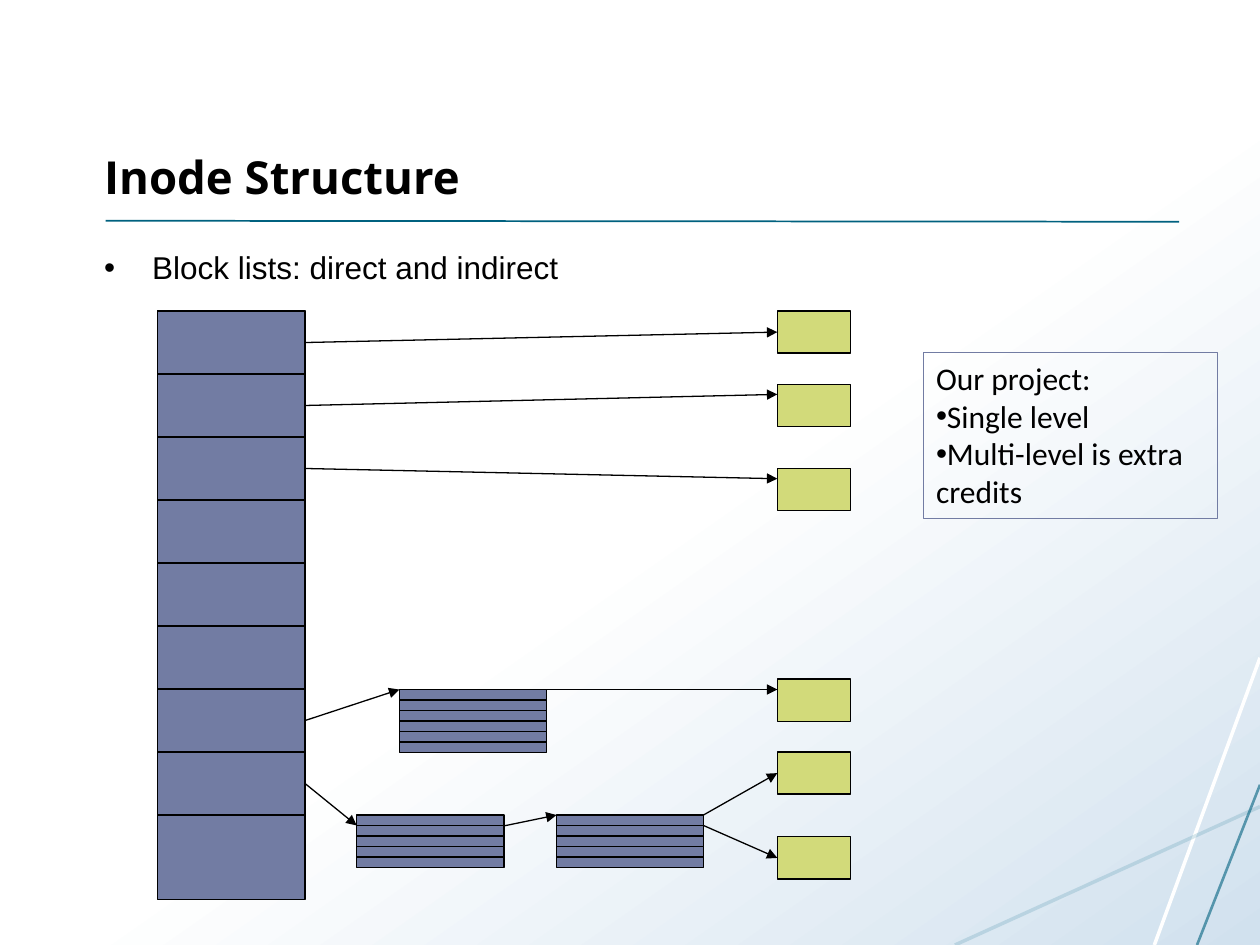
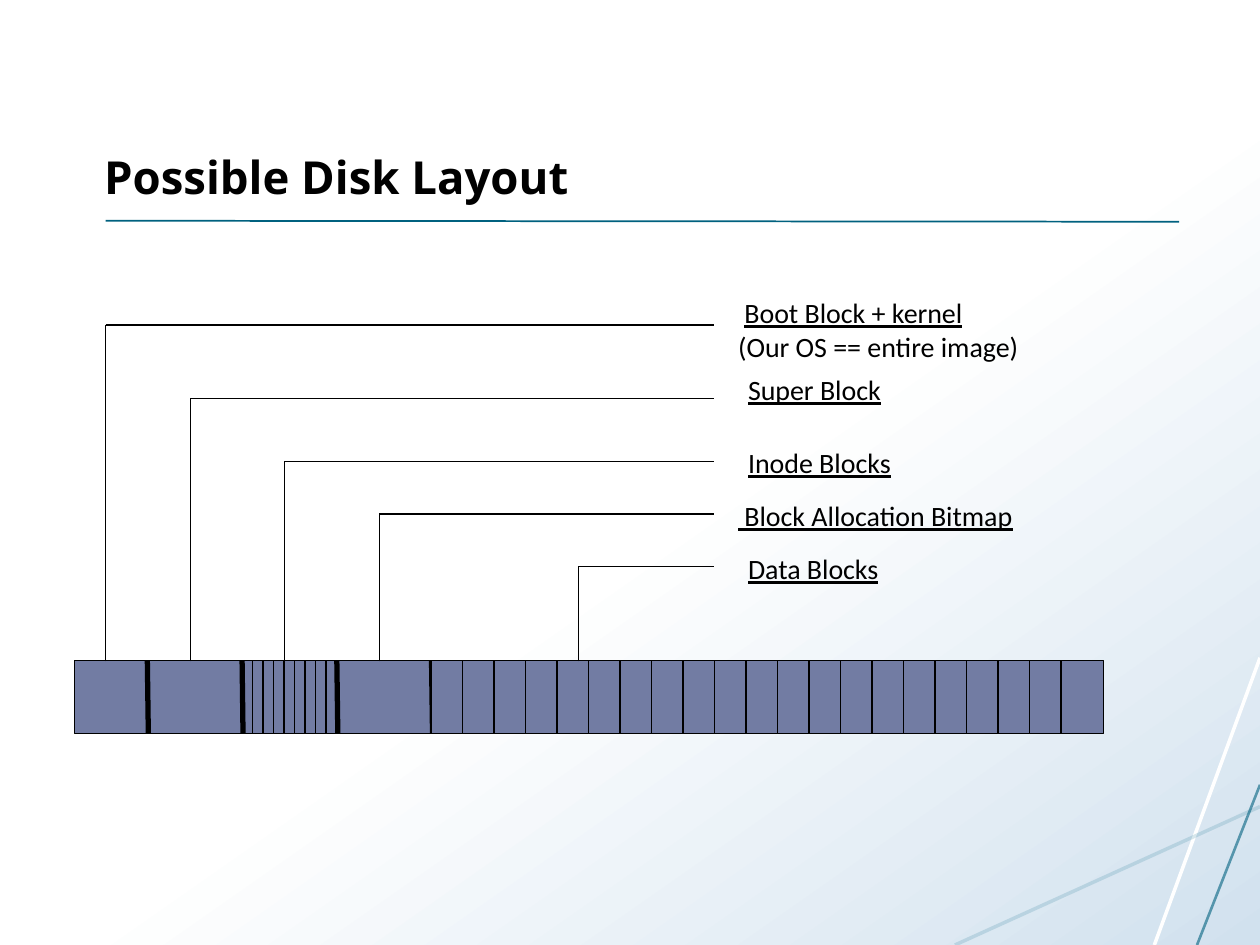
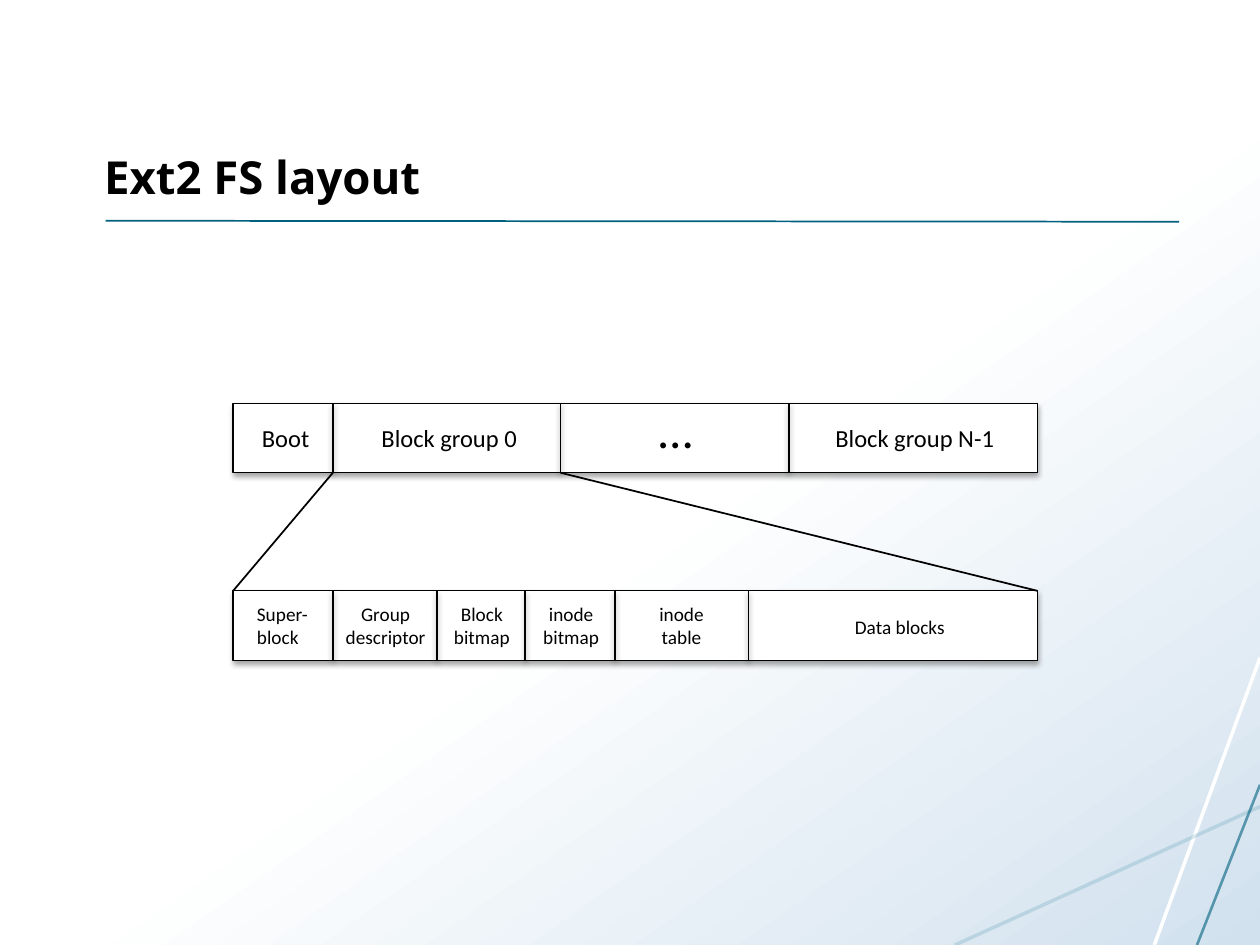
from dataclasses import dataclass

from lxml.etree import SubElement
from pptx import Presentation
from pptx.dml.color import RGBColor as Rgb
from pptx.enum.shapes import MSO_CONNECTOR as Link, MSO_SHAPE as Preset
from pptx.enum.text import MSO_ANCHOR as Anchor, PP_ALIGN as Align
from pptx.oxml.ns import qn
from pptx.util import Cm, Pt


@dataclass(frozen=True)
class Theme:
    ink: Rgb = Rgb(0, 0, 0)
    paper: Rgb = Rgb(255, 255, 255)
    haze: Rgb = Rgb.from_string("D1E1EE")
    teal: Rgb = Rgb.from_string("00617F")
    sea: Rgb = Rgb.from_string("15718F")
    slate: Rgb = Rgb.from_string("727CA3")
    lime: Rgb = Rgb.from_string("D2DA7A")
    title_font: str = "Open Sans"
    body_font: str = "Arial"
    label_font: str = "Calibri"
    title_size: int = 26
    body_size: int = 18
    label_size: int = 16
    group_size: int = 14
    field_size: int = 11
    dots_size: int = 28
    thin: float = 0.75


theme = Theme()


def write(slide, text, x, y, w, h, font=theme.label_font, size=theme.body_size,
          bold=False, align=Align.LEFT, anchor=Anchor.TOP, wrap=True,
          fill=None, outline=None, hang=0):
    """Place text, boxed if fill or outline is given; _marks_ underline, • starts a bullet."""
    place = Cm(x), Cm(y), Cm(w), Cm(h)
    if fill is None and outline is None:
        box = slide.shapes.add_textbox(*place)
    else:
        box = slide.shapes.add_shape(Preset.RECTANGLE, *place)
        box.shadow.inherit = False
        box.line.color.rgb = outline
        box.line.width = Pt(theme.thin)
        if fill is None:
            box.fill.background()
        else:
            box.fill.solid()
            box.fill.fore_color.rgb = fill
    frame = box.text_frame
    frame.word_wrap = wrap
    frame.vertical_anchor = anchor
    for number, line in enumerate(text.split("\n") if text else []):
        paragraph = frame.add_paragraph() if number else frame.paragraphs[0]
        paragraph.alignment = align
        if line.startswith("•"):
            line = line[1:]
            props = paragraph._p.get_or_add_pPr()
            props.set("marL", str(Cm(hang)))
            props.set("indent", str(-Cm(hang)))
            SubElement(props, qn("a:buFont")).set("typeface", "Arial")
            SubElement(props, qn("a:buChar")).set("char", "•")
        for part, words in enumerate(line.split("_")):
            if words:
                run = paragraph.add_run()
                run.text = words
                run.font.name = font
                run.font.size = Pt(size)
                run.font.bold = bold
                run.font.underline = part % 2 == 1
                run.font.color.rgb = theme.ink
    return box


def rule(slide, x1, y1, x2, y2, color=theme.ink, width=theme.thin,
         opacity=100, arrow=False, source=None, target=None):
    """Draw a straight line; source and target join it to a right and a left side."""
    line = slide.shapes.add_connector(Link.STRAIGHT, Cm(x1), Cm(y1), Cm(x2), Cm(y2))
    line.line.color.rgb = color
    line.line.width = Pt(width)
    stroke = line.line._get_or_add_ln()
    if opacity < 100:
        SubElement(stroke.find(".//" + qn("a:srgbClr")), qn("a:alpha")).set(
            "val", str(opacity * 1000))
    if arrow:
        SubElement(stroke, qn("a:tailEnd")).set("type", "triangle")
    SubElement(line._element.spPr, qn("a:effectLst"))
    if source is not None:
        line.begin_connect(source, 3)
    if target is not None:
        line.end_connect(target, 1)
    return line


deck = Presentation()
deck.slide_width, deck.slide_height = Cm(25.4), Cm(19.05)

# Shared background
backdrop = deck.slide_master.background.fill
backdrop.gradient()
backdrop.gradient_angle = 305
for stop, (position, color) in zip(backdrop.gradient_stops,
                                   [(0.54, theme.paper), (1, theme.haze)]):
    stop.position = position
    stop.color.rgb = color

# Slides with corner strokes, title and title rule
pages = []
for heading in ["Inode Structure", "Possible Disk Layout", "Ext2 FS layout"]:
    page = deck.slides.add_slide(deck.slide_layouts[6])
    rule(page, 25.4, 13.26, 23.27, 19.05, theme.paper, 2)
    rule(page, 25.4, 16.26, 19.25, 19.05, theme.sea, 2, opacity=16)
    rule(page, 25.4, 15.82, 24.13, 19.05, theme.teal, 1.5, opacity=60)
    rule(page, 2.13, 4.45, 23.77, 4.47, theme.teal, 1)
    write(page, heading, 1.85, 0.84, 21.9, 3.38, font=theme.title_font,
          size=theme.title_size, bold=True, anchor=Anchor.BOTTOM)
    pages.append(page)
inode_page, disk_page, ext2_page = pages

# Inode: block list
write(inode_page, "•Block lists: direct and indirect", 1.85, 4.88, 21.92, 12.14,
      font=theme.body_font, hang=0.97)
slate_box = dict(fill=theme.slate, outline=theme.ink)
column_w, slot_h = 2.97, 1.27
write(inode_page, "", 3.18, 6.27, column_w, 11.86, **slate_box)
slots = [write(inode_page, "", 3.18, 6.27 + n * slot_h, column_w, slot_h, **slate_box)
         for n in range(8)]

# Inode: data blocks and index blocks
data_blocks = [write(inode_page, "", 15.67, top, 1.48, 0.85,
                     fill=theme.lime, outline=theme.ink)
               for top in [6.27, 7.75, 9.45, 13.69, 15.16, 16.87]]
entry_h = slot_h / 6
for left, top, entries in [(8.05, 13.9, 6), (7.19, 16.43, 5), (11.22, 16.43, 5)]:
    for n in range(entries):
        write(inode_page, "", left, top + n * entry_h, column_w, entry_h, **slate_box)

# Inode: pointers
for x1, y1, x2, y2, source, target in [
    (6.15, 6.91, 15.67, 6.69, slots[0], data_blocks[0]),
    (6.15, 8.18, 15.67, 7.95, slots[1], None),
    (6.15, 9.45, 15.67, 9.65, slots[2], None),
    (6.15, 14.53, 8.05, 13.9, slots[6], None),
    (11.01, 13.9, 15.67, 13.9, None, None),
    (6.15, 15.8, 7.19, 16.64, slots[7], None),
    (10.16, 16.65, 11.22, 16.43, None, None),
    (14.18, 16.43, 15.67, 15.58, None, data_blocks[4]),
    (14.18, 16.64, 15.67, 17.29, None, data_blocks[5]),
]:
    rule(inode_page, x1, y1, x2, y2, arrow=True, source=source, target=target)

# Inode: project note
write(inode_page, "Our project:\n•Single level\n•Multi-level is extra credits",
      18.62, 7.11, 5.92, 3.35, outline=theme.slate)

# Disk: bar with inode blocks, region borders and data blocks
disk_y, disk_h = 13.31, 1.48
inode_x, data_x = 4.88, 8.69
write(disk_page, "", 1.5, disk_y, 20.75, disk_h, **slate_box)
for n in range(8):
    write(disk_page, "", inode_x + n * entry_h, disk_y, entry_h, disk_h, **slate_box)
for n in range(4):
    border_x = 2.97 + n * 1.91
    rule(disk_page, border_x, disk_y, border_x + 0.02, disk_y + disk_h, width=3)
for n in range(20):
    write(disk_page, "", data_x + n * 0.635, disk_y, 0.635, disk_h, **slate_box)

# Disk: leaders and region names
for leader_x, leader_y, name, x, y, w, h in [
    (2.13, 6.55, " _Boot Block + kernel_\n(Our OS == entire image)", 14.63, 5.84, 9.53, 1.63),
    (3.84, 8.03, "_Super Block_", 14.83, 7.39, 5.72, 0.94),
    (5.74, 9.3, "_Inode Blocks_", 14.83, 8.86, 4.88, 0.94),
    (7.65, 10.36, "_ Block Allocation Bitmap_", 14.63, 9.93, 6.99, 1.63),
    (11.66, 11.42, "_Data Blocks_", 14.83, 11, 5.28, 0.94),
]:
    rule(disk_page, leader_x, 13.33, leader_x, leader_y)
    rule(disk_page, leader_x, leader_y, 14.4, leader_y)
    write(disk_page, name, x, y, w, h, size=theme.label_size)

# Ext2: disk strip above, one block group below
strip_x, strip_w, strip_h = 4.7, 16.21, 1.4
disk_top, group_top = 8.13, 11.91
raised = []
for top, dividers in [(disk_top, [6.71, 11.3, 15.9]),
                      (group_top, [6.71, 8.81, 10.59, 12.4, 15.09])]:
    strip = write(ext2_page, "", strip_x, top, strip_w, strip_h,
                  fill=theme.paper, outline=theme.ink)
    raised.append((strip, 35, 1.8))
    for x in dividers:
        divider = rule(ext2_page, x, top, x, top + strip_h, width=1)
        raised.append((divider, 38, 1.6))

# Ext2: soft shadows
for part, opacity, distance in raised:
    effects = part._element.spPr.find(qn("a:effectLst"))
    shade = SubElement(effects, qn("a:outerShdw"), blurRad=str(Pt(3.1)),
                       dist=str(Pt(distance)), dir="5400000", rotWithShape="0")
    shade_color = SubElement(shade, qn("a:srgbClr"), val=str(theme.ink))
    SubElement(shade_color, qn("a:alpha"), val=str(opacity * 1000))

# Ext2: labels
for name, x, y, w, h, size, align in [
    ("Boot", 5.03, 8.41, 1.47, 0.86, theme.group_size, Align.LEFT),
    ("Block group 0", 7.44, 8.41, 3.28, 0.86, theme.group_size, Align.LEFT),
    ("…", 13.03, 7.92, 1.19, 1.45, theme.dots_size, Align.LEFT),
    ("Block group N-1", 16.59, 8.41, 3.73, 0.86, theme.group_size, Align.LEFT),
    ("Super-\nblock", 4.93, 12.01, 1.55, 1.19, theme.field_size, Align.LEFT),
    ("Group\ndescriptor", 6.71, 12.01, 2.13, 1.19, theme.field_size, Align.CENTER),
    ("Block\nbitmap", 8.89, 12.01, 1.65, 1.19, theme.field_size, Align.CENTER),
    ("inode\nbitmap", 10.69, 12.01, 1.65, 1.19, theme.field_size, Align.CENTER),
    ("inode\ntable", 13.03, 12.01, 1.42, 1.19, theme.field_size, Align.CENTER),
    ("Data blocks", 16.97, 12.27, 2.34, 0.74, theme.field_size, Align.CENTER),
]:
    write(ext2_page, name, x, y, w, h, size=size, align=align, wrap=False)

# Ext2: zoom lines from block group 0
rule(ext2_page, 6.71, disk_top + strip_h, strip_x, group_top, width=1)
rule(ext2_page, 11.3, disk_top + strip_h, strip_x + strip_w, group_top, width=1)

deck.save("out.pptx")
